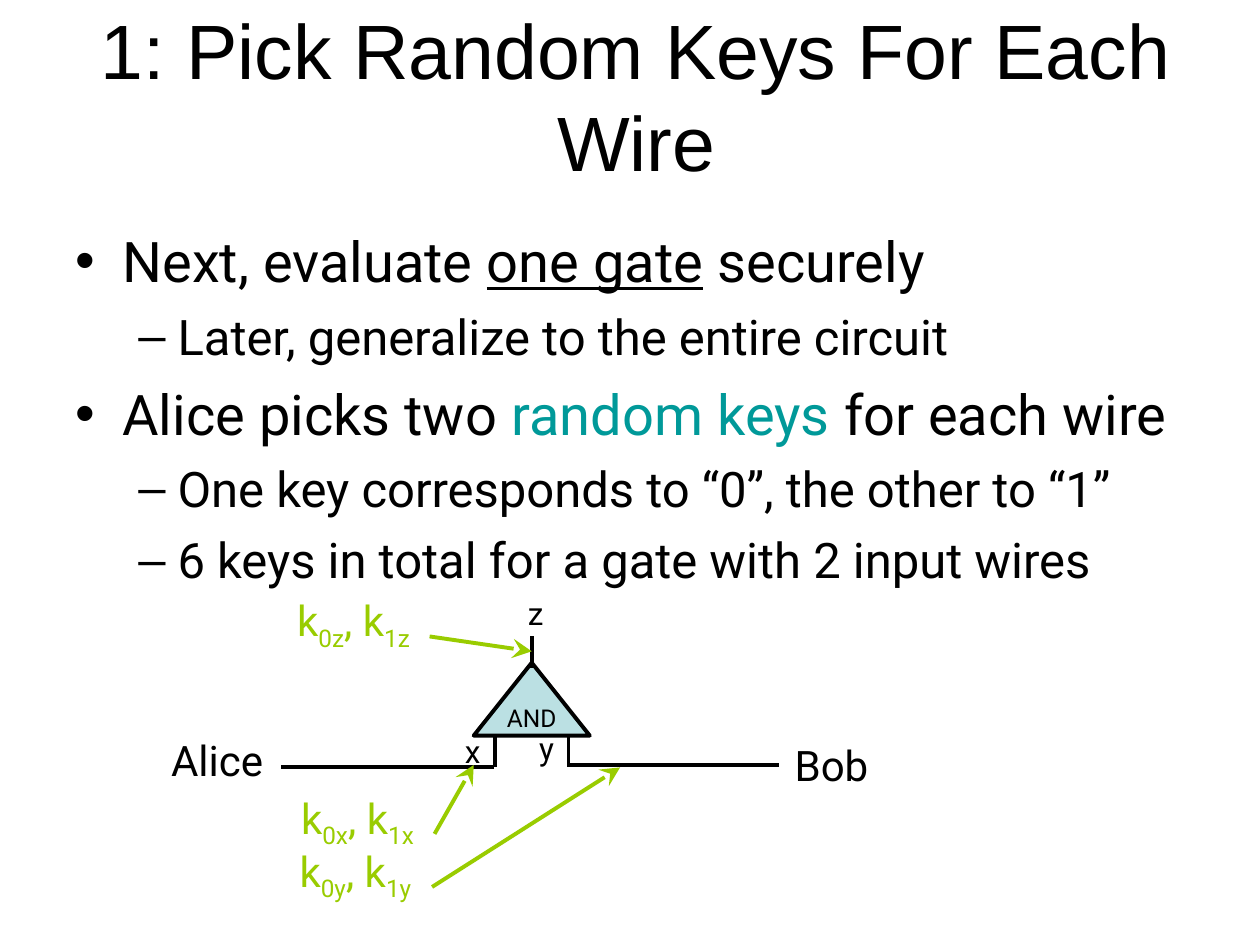
from lxml import etree
from pptx import Presentation
from pptx import util as u
from pptx.dml.color import RGBColor
from pptx.enum import shapes, text
from pptx.oxml import ns

COLORS = {"ink": "000000", "accent": "009999", "key": "99CC00", "gate": "BBE0E3"}
BULLETS = {0: ("•", 0.95, -0.95, 32, 8), 1: ("–", 2.06, -0.79, 28, 7)}
POINTS = [
    (0, [("Next, evaluate ", "ink", False), ("one gate", "ink", True), (" securely", "ink", False)]),
    (1, [("Later, generalize to the entire circuit", "ink", False)]),
    (0, [("Alice picks two ", "ink", False), ("random keys", "accent", False),
         (" for each wire", "ink", False)]),
    (1, [("One key corresponds to “0”, the other to “1”", "ink", False)]),
    (1, [("6 keys in total for a gate with 2 input wires", "ink", False)]),
]
WIRES = [
    ((6.78, 2.97), (6.78, 3.61)),
    ((8.26, 2.97), (8.26, 3.56)),
    ((7.52, 0.97), (7.52, 1.6)),
    ((6.76, 3.61), (2.46, 3.61)),
    ((12.5, 3.56), (8.23, 3.56)),
]
LABELS = [
    ("x", (5.92, 2.77, 0.84, 1.02), 18),
    ("y", (7.42, 2.72, 0.84, 1.02), 18),
    ("z", (7.19, 0, 0.79, 1.02), 18),
    ("Alice", (0, 2.82, 2.36, 1.27), 24),
    ("Bob", (12.57, 2.92, 2.08, 1.27), 24),
]
KEYS = [
    ("z", (2.54, 0, 2.87, 1.42), (5.46, 0.97), (7.52, 1.27)),
    ("x", (2.62, 3.99, 2.95, 1.42), (5.56, 4.95), (6.35, 3.56)),
    ("y", (2.59, 5.05, 2.92, 1.42), (5.51, 6.02), (9.3, 3.61)),
]


def add_run(paragraph, words, size, color="ink", font="Roboto"):
    """Append one formatted run and return it."""
    run = paragraph.add_run()
    run.text = words
    run.font.name = font
    run.font.size = u.Pt(size)
    run.font.color.rgb = RGBColor.from_string(COLORS[color])
    return run


def add_text_frame(slide, box, wrap=True):
    """Add a text box at the given centimetres and return its frame."""
    frame = slide.shapes.add_textbox(*map(u.Cm, box)).text_frame
    frame.word_wrap = wrap
    return frame


def add_line(slide, start, end, color="ink", arrow=False):
    """Draw a straight line, optionally ending in a stealth arrowhead."""
    line = slide.shapes.add_connector(
        shapes.MSO_CONNECTOR.STRAIGHT, *map(u.Cm, (*start, *end)))
    line.line.color.rgb = RGBColor.from_string(COLORS[color])
    line.line.width = u.Pt(2.25)
    if arrow:
        etree.SubElement(line.line._get_or_add_ln(), ns.qn("a:tailEnd"), type="stealth",
                         w="lg", len="lg")
    etree.SubElement(line._element.spPr, ns.qn("a:effectLst"))


def add_title(slide, box):
    """Write the centred slide title."""
    frame = add_text_frame(slide, box)
    frame.vertical_anchor = text.MSO_ANCHOR.MIDDLE
    title = frame.paragraphs[0]
    title.alignment = text.PP_ALIGN.CENTER
    add_run(title, "1: Pick Random Keys For Each Wire", 44, font="Arial")


def add_points(slide, box):
    """Write the two-level bullet list."""
    frame = add_text_frame(slide, box)
    for index, (level, parts) in enumerate(POINTS):
        point = frame.add_paragraph() if index else frame.paragraphs[0]
        mark, margin, indent, size, before = BULLETS[level]
        point.level = level
        properties = point._p.get_or_add_pPr()
        properties.set("marL", str(u.Cm(margin)))
        properties.set("indent", str(u.Cm(indent)))
        bullet_color = etree.SubElement(properties, ns.qn("a:buClr"))
        etree.SubElement(bullet_color, ns.qn("a:srgbClr"), val=COLORS["ink"])
        etree.SubElement(properties, ns.qn("a:buFont"), typeface="Arial")
        etree.SubElement(properties, ns.qn("a:buChar"), char=mark)
        if index:
            point.space_before = u.Pt(before)
        for words, color, underlined in parts:
            run = add_run(point, words, size, color)
            if underlined:
                run.font.underline = True


def add_gate(slide, box):
    """Draw the AND gate with its wires, parties and wire keys."""
    left, top = box[:2]

    def shift(place):
        """Move a point or rectangle from the region onto the slide."""
        return (left + place[0], top + place[1], *place[2:])

    gate = slide.shapes.add_shape(
        shapes.MSO_SHAPE.ISOSCELES_TRIANGLE, *map(u.Cm, shift((6.35, 1.5, 2.34, 1.47))))
    gate.shadow.inherit = False
    gate.fill.solid()
    gate.fill.fore_color.rgb = RGBColor.from_string(COLORS["gate"])
    gate.line.color.rgb = RGBColor.from_string(COLORS["ink"])
    gate.line.width = u.Pt(2.25)
    gate.text_frame.word_wrap = False
    gate.text_frame.vertical_anchor = text.MSO_ANCHOR.MIDDLE
    gate.text_frame.paragraphs[0].alignment = text.PP_ALIGN.CENTER
    add_run(gate.text_frame.paragraphs[0], "AND", 14)

    for start, end in WIRES:
        add_line(slide, shift(start), shift(end))
    for words, place, size in LABELS:
        add_run(add_text_frame(slide, shift(place), False).paragraphs[0], words, size)
    for wire, place, start, end in KEYS:
        pair = add_text_frame(slide, shift(place), False).paragraphs[0]
        for letter, subscript in (("k", f"0{wire}"), (", k", f"1{wire}")):
            add_run(pair, letter, 24, "key")
            add_run(pair, subscript, 24, "key").font._element.set("baseline", "-25000")
        add_line(slide, shift(start), shift(end), "key", arrow=True)


def main():
    """Build and save the slide."""
    deck = Presentation()
    deck.slide_width, deck.slide_height = u.Cm(25.4), u.Cm(19.05)
    slide = deck.slides.add_slide(deck.slide_layouts[6])
    add_title(slide, (1.12, 0.64, 23.42, 2.54))
    add_points(slide, (1.27, 4.45, 23.29, 13.97))
    add_gate(slide, (3.2, 11.86, 14.65, 6.47))
    deck.save("out.pptx")


if __name__ == "__main__":
    main()
